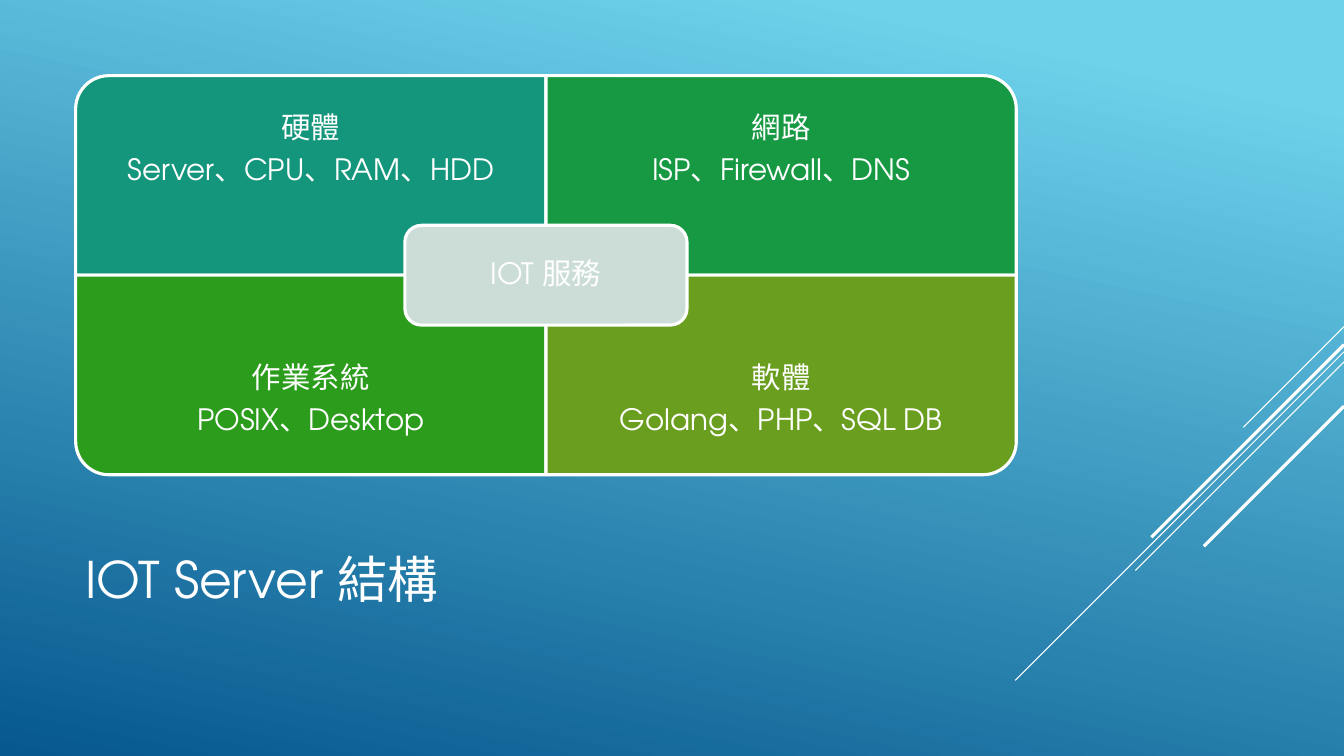
from lxml import etree
from pptx import Presentation
from pptx import util as u
from pptx.dml import color
from pptx.enum import shapes, text
from pptx.oxml import ns

FONT = "TeX Gyre Adventor"
COLORS = {
    "white": "FFFFFF",
    "sky": "6ED2EB",
    "deep": "06588E",
    "hardware": "14967C",
    "network": "179943",
    "system": "2B9C1B",
    "software": "6A9E1F",
    "service": "CCDDD7",
}
QUADRANTS = [
    ("hardware", 270, "硬體", "Server、CPU、RAM、HDD"),
    ("network", 0, "網路", "ISP、Firewall、DNS"),
    ("system", 180, "作業系統", "POSIX、Desktop"),
    ("software", 90, "軟體", "Golang、PHP、SQL DB"),
]
RAYS = [
    (3.24, 1.0, 0.75),
    (3.49, 3.26, 0.75),
    (3.59, 2.07, 0.75),
    (3.42, 1.91, 2.25),
    (4.03, 1.39, 2.25),
]


def rgb(name):
    return color.RGBColor.from_string(COLORS[name])


def paint_background(slide):
    fill = slide.background.fill
    fill.gradient()
    fill.gradient_angle = 360 - 102
    for stop, position, name in zip(fill.gradient_stops, (0.1, 1), ("sky", "deep")):
        stop.position = position
        stop.color.rgb = rgb(name)


def add_rays(slide, right):
    for top, reach, width in RAYS:
        ends = (right, top, right - reach, top + reach)
        ray = slide.shapes.add_connector(
            shapes.MSO_CONNECTOR.STRAIGHT, *map(u.Inches, ends))
        ray.line.color.rgb = rgb("white")
        ray.line.width = u.Pt(width)
        etree.SubElement(ray._element.spPr, ns.qn("a:effectLst"))


def add_panel(slide, kind, box, name, rotation=0):
    left, top, width, height = box
    if rotation % 180:
        left, top = left + (width - height) / 2, top + (height - width) / 2
        width, height = height, width
    panel = slide.shapes.add_shape(kind, *map(u.Inches, (left, top, width, height)))
    panel.rotation = rotation
    panel.shadow.inherit = False
    panel.fill.solid()
    panel.fill.fore_color.rgb = rgb(name)
    panel.line.color.rgb = rgb("white")
    panel.line.width = u.Pt(2.25)


def add_text(slide, box, lines, size, inset=None):
    frame = slide.shapes.add_textbox(*map(u.Inches, box)).text_frame
    frame.word_wrap = True
    frame.vertical_anchor = text.MSO_ANCHOR.MIDDLE
    if inset is not None:
        frame.margin_left = frame.margin_right = u.Inches(inset)
        frame.margin_top = frame.margin_bottom = u.Inches(inset)
    for index, line in enumerate(lines):
        paragraph = frame.add_paragraph() if index else frame.paragraphs[0]
        if inset is not None:
            paragraph.alignment = text.PP_ALIGN.CENTER
            paragraph.line_spacing = 0.9
            paragraph.space_after = u.Pt(size * 0.35)
        run = paragraph.add_run()
        run.text = line
        run.font.name = FONT
        run.font.size = u.Pt(size)
        run.font.color.rgb = rgb("white")


def add_matrix(slide, box):
    left, top, width, height = box
    cell_width, cell_height = width / 2, height / 2
    text_height = cell_height * 0.75
    for index, (name, rotation, heading, items) in enumerate(QUADRANTS):
        row, column = divmod(index, 2)
        x, y = left + column * cell_width, top + row * cell_height
        add_panel(slide, shapes.MSO_SHAPE.ROUND_1_RECTANGLE,
                  (x, y, cell_width, cell_height), name, rotation)
        text_top = y + row * (cell_height - text_height)
        add_text(slide, (x, text_top, cell_width, text_height),
                 [heading, items], 21, 0.16)

    hub_width, hub_height = cell_width * 0.6, cell_height / 2
    hub = (left + (width - hub_width) / 2, top + (height - hub_height) / 2,
           hub_width, hub_height)
    add_panel(slide, shapes.MSO_SHAPE.ROUNDED_RECTANGLE, hub, "service")
    add_text(slide, hub, ["IOT 服務"], 21, 0.14)


def main():
    presentation = Presentation()
    presentation.slide_width = u.Inches(13.33)
    presentation.slide_height = u.Inches(7.5)
    slide = presentation.slides.add_slide(presentation.slide_layouts[6])
    paint_background(slide)
    add_rays(slide, 13.33)
    add_text(slide, (0.75, 4.91, 9.33, 1.65), ["IOT Server 結構"], 36)
    add_matrix(slide, (0.75, 0.75, 9.33, 3.96))
    presentation.save("out.pptx")


main()
